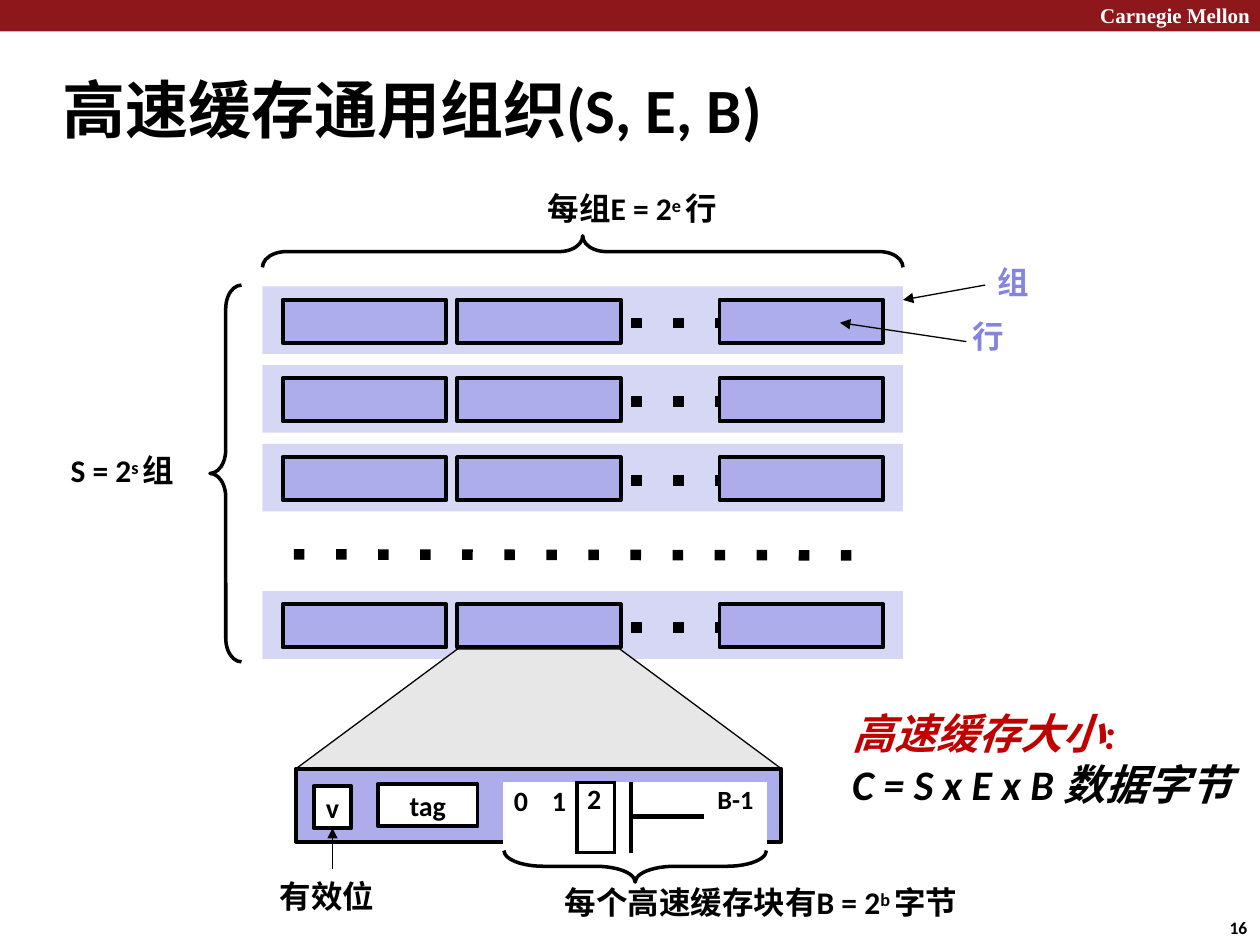
import pptx
import pptx.util
import pptx.dml.color
import pptx.enum.shapes
import pptx.enum.text
import pptx.oxml.ns
from lxml import etree

Pt = pptx.util.Pt
SHAPES = pptx.enum.shapes.MSO_SHAPE
COLORS = {
    "black": "000000", "white": "FFFFFF", "banner": "8D171A", "set": "D6D6F5",
    "line": "ADADEB", "label": "8585E0", "funnel": "E7E7E7", "red": "C00000",
}
NO_GRID_STYLE = "{2D5ABB26-0587-4C30-8999-92F81FD0307C}"


def rgb(name):
    return pptx.dml.color.RGBColor.from_string(COLORS[name])


def add_xml(parent, tag, **attributes):
    element = etree.SubElement(parent, pptx.oxml.ns.qn(tag))
    for key, value in attributes.items():
        element.set(key, value)
    return element


def style_font(font, size, color="black", name="Calibri", italic=False):
    font.size, font.name, font.bold, font.italic = Pt(size), name, True, italic
    font.color.rgb = rgb(color)


def style_shape(shape, fill=None, line=None, width=2.25):
    shape.shadow.inherit = False
    if fill:
        shape.fill.solid()
        shape.fill.fore_color.rgb = rgb(fill)
    else:
        shape.fill.background()
    if line:
        shape.line.color.rgb = rgb(line)
        shape.line.width = Pt(width)
    else:
        shape.line.fill.background()


def clear_margins(frame):
    frame.margin_left = frame.margin_top = frame.margin_right = frame.margin_bottom = 0


def add_rectangle(slide, left, top, width, height, fill, line=None):
    shape = slide.shapes.add_shape(SHAPES.RECTANGLE, Pt(left), Pt(top), Pt(width), Pt(height))
    style_shape(shape, fill, line)
    return shape


def add_label(slide, left, top, width, height, text, size=18, **font):
    box = slide.shapes.add_textbox(Pt(left), Pt(top), Pt(width), Pt(height))
    frame = box.text_frame
    clear_margins(frame)
    frame.word_wrap = True
    frame.text = text
    for paragraph in frame.paragraphs:
        for run in paragraph.runs:
            style_font(run.font, size, **font)
    return frame


def add_power_label(slide, left, top, width, start, exponent, end):
    paragraph = add_label(slide, left, top, width, 21.6, start).paragraphs[0]
    for text, baseline in ((exponent + " ", "25000"), (end, "0")):
        run = paragraph.add_run()
        run.text = text
        style_font(run.font, 18)
        run.font._element.set("baseline", baseline)


def add_line(slide, start, end, width=0.75, dotted=False):
    connector = slide.shapes.add_connector(
        pptx.enum.shapes.MSO_CONNECTOR.STRAIGHT, *(Pt(value) for value in (*start, *end)))
    connector.line.color.rgb = rgb("black")
    connector.line.width = Pt(width)
    outline = connector.line._get_or_add_ln()
    if dotted:
        add_xml(outline, "a:prstDash", val="dot")
    else:
        add_xml(outline, "a:tailEnd", type="triangle")
    add_xml(connector._element.spPr, "a:effectLst")
    return connector


def add_brace(slide, left, top, width, height, rotation=0, curve=0.75):
    if rotation:
        left, top = left + (width - height) / 2, top + (height - width) / 2
        width, height = height, width
    brace = slide.shapes.add_shape(
        SHAPES.LEFT_BRACE, Pt(left), Pt(top), Pt(width), Pt(height))
    brace.rotation = rotation
    brace.adjustments[0] = curve
    style_shape(brace, line="black", width=2)


def add_header(slide, width, height):
    add_rectangle(slide, 0, 0, width, height, "banner")
    add_label(slide, width - 91.3, 1.4, 90, 16, "Carnegie Mellon", 12,
              color="white", name="Times New Roman")


def add_set(slide, left, top, width, height):
    add_rectangle(slide, left, top, width, height, "set")
    add_line(slide, (left + 210.7, top + 20.9), (left + 261.2, top + 20.9), 6, True)
    for offset in (11.5, 111.2, 261.2):
        add_rectangle(slide, left + offset, top + 7.6, 93.5, 24.6, "line", "black")


def add_sets(slide, left, top, width):
    for offset in (0, 45, 90, 174.2):
        add_set(slide, left, top + offset, width, 38.7)
    add_line(slide, (left + 18, top + 153.2), (left + 354, top + 153.8), 6, True)
    add_brace(slide, left, top - 28.8, width, 18, 90)
    add_brace(slide, left - 30, top - 0.7, 18, 215.3)
    add_power_label(slide, left + 163, top - 55.5, 130, "每组E = 2", "e", "行")
    add_power_label(slide, left - 109.6, top + 94.2, 80, "S = 2", "s", "组")
    add_label(slide, left + 420, top - 13.5, 24, 21.6, "组", color="label")
    add_label(slide, left + 406, top + 17.4, 24, 21.6, "行", color="label")
    add_line(slide, (left + 413, top - 0.7), (left + width, top + 7.8))
    add_line(slide, (left + 402.2, top + 31.6), (left + 330, top + 20.8))


def add_funnel(slide, left, top, width, height, inset):
    corners = [(left, top + height), (left + inset, top),
               (left + width - inset, top), (left + width, top + height)]
    points = [(Pt(x), Pt(y)) for x, y in corners]
    builder = slide.shapes.build_freeform(*points[0], scale=1)
    builder.add_line_segments(points[1:], close=True)
    style_shape(builder.convert_to_shape(), "funnel", "black", 0.75)


def add_borders(cell, sides, width):
    properties = cell._tc.get_or_add_tcPr()
    for side in sides:
        border = add_xml(properties, "a:ln" + side, w=str(Pt(width)))
        add_xml(add_xml(border, "a:solidFill"), "a:srgbClr", val=COLORS["black"])


def add_block_table(slide, left, top):
    widths = (21.6, 20.9, 21.6, 9.2, 41.6, 36)
    texts = {0: ("0", 6.5, 1.4, 16), 1: ("1", 6.5, 1.4, 16),
             2: ("2", 5.8, 0.2, 16), 5: ("B-1", 7.9, 1.1, 15)}
    borders = {(0, 1): ("R", 2.25), (1, 1): ("R", 2.25), (0, 2): ("LRTB", 2.25),
               (1, 2): ("LRB", 2.25), (0, 3): ("LR", 2.25), (1, 3): ("LR", 2.25),
               (0, 4): ("B", 3.12), (1, 4): ("T", 3.12)}
    graphic = slide.shapes.add_table(2, len(widths), Pt(left), Pt(top), Pt(sum(widths)), Pt(39))
    table = graphic.table
    table.first_row = table.horz_banding = False
    graphic._element.graphic.graphicData.tbl.tblPr.find(
        pptx.oxml.ns.qn("a:tableStyleId")).text = NO_GRID_STYLE
    for row in table.rows:
        row.height = Pt(19.5)
    for column, width in enumerate(widths):
        table.columns[column].width = Pt(width)
        for row in range(2):
            cell = table.cell(row, column)
            clear_margins(cell)
            add_borders(cell, *borders.get((row, column), ("", 0)))
            cell.fill.solid()
            cell.fill.fore_color.rgb = rgb("white")
            cell.text_frame.paragraphs[0].font.size = Pt(10)
        if column != 4:
            table.cell(0, column).merge(table.cell(1, column))
        if column in texts:
            text, indent, rise, size = texts[column]
            cell = table.cell(0, column)
            cell.margin_left, cell.margin_top = Pt(indent), Pt(rise)
            cell.text_frame.text = text
            style_font(cell.text_frame.paragraphs[0].runs[0].font, size)


def add_field(slide, left, top, width, height, text):
    field = add_rectangle(slide, left, top, width, height, "white", "black")
    frame = field.text_frame
    clear_margins(frame)
    frame.text = text
    frame.vertical_anchor = pptx.enum.text.MSO_ANCHOR.MIDDLE
    paragraph = frame.paragraphs[0]
    paragraph.alignment = pptx.enum.text.PP_ALIGN.CENTER
    style_font(paragraph.runs[0].font, 16)
    return field


def add_cache_line(slide, left, top, width, height):
    add_funnel(slide, left, top - 68.4, width, 68.4, 92.3)
    add_rectangle(slide, left, top, width, height, "line", "black")
    add_block_table(slide, left + 118, top + 7.9)
    add_field(slide, left + 46.8, top + 8.9, 56.9, 24, "tag")
    valid = add_field(slide, left + 10, top + 10, 21.6, 24, "v")
    add_brace(slide, left + 118.8, top + 46.8, 150, 18, 270, 1.25)
    add_power_label(slide, left + 153.5, top + 65.5, 287, "每个高速缓存块有B = 2", "b", "字节")
    add_label(slide, left - 9.2, top + 62, 65, 21.6, "有效位")
    arrow = add_line(slide, (left + 20.8, top + 57.6), (left + 20.8, top + 34))
    arrow.end_connect(valid, 2)


def add_size_formula(slide, left, top, width, height):
    frame = add_label(slide, left, top, width, height,
                      "高速缓存大小:\nC = S x E x B 数据字节", 24, italic=True)
    frame.paragraphs[0].runs[0].font.color.rgb = rgb("red")


def main():
    presentation = pptx.Presentation()
    presentation.slide_width, presentation.slide_height = Pt(720), Pt(540)
    slide = presentation.slides.add_slide(presentation.slide_layouts[6])
    add_header(slide, 720, 18)
    add_label(slide, 35.5, 40.3, 540, 43.2, "高速缓存通用组织(S, E, B)", 36)
    add_sets(slide, 150, 163.6, 366)
    add_cache_line(slide, 169.2, 439.2, 277.2, 41.8)
    add_size_formula(slide, 486.9, 404.6, 231, 59.8)
    add_label(slide, 702.6, 524.2, 15, 12.2, "16", 10)
    presentation.save("out.pptx")


if __name__ == "__main__":
    main()
